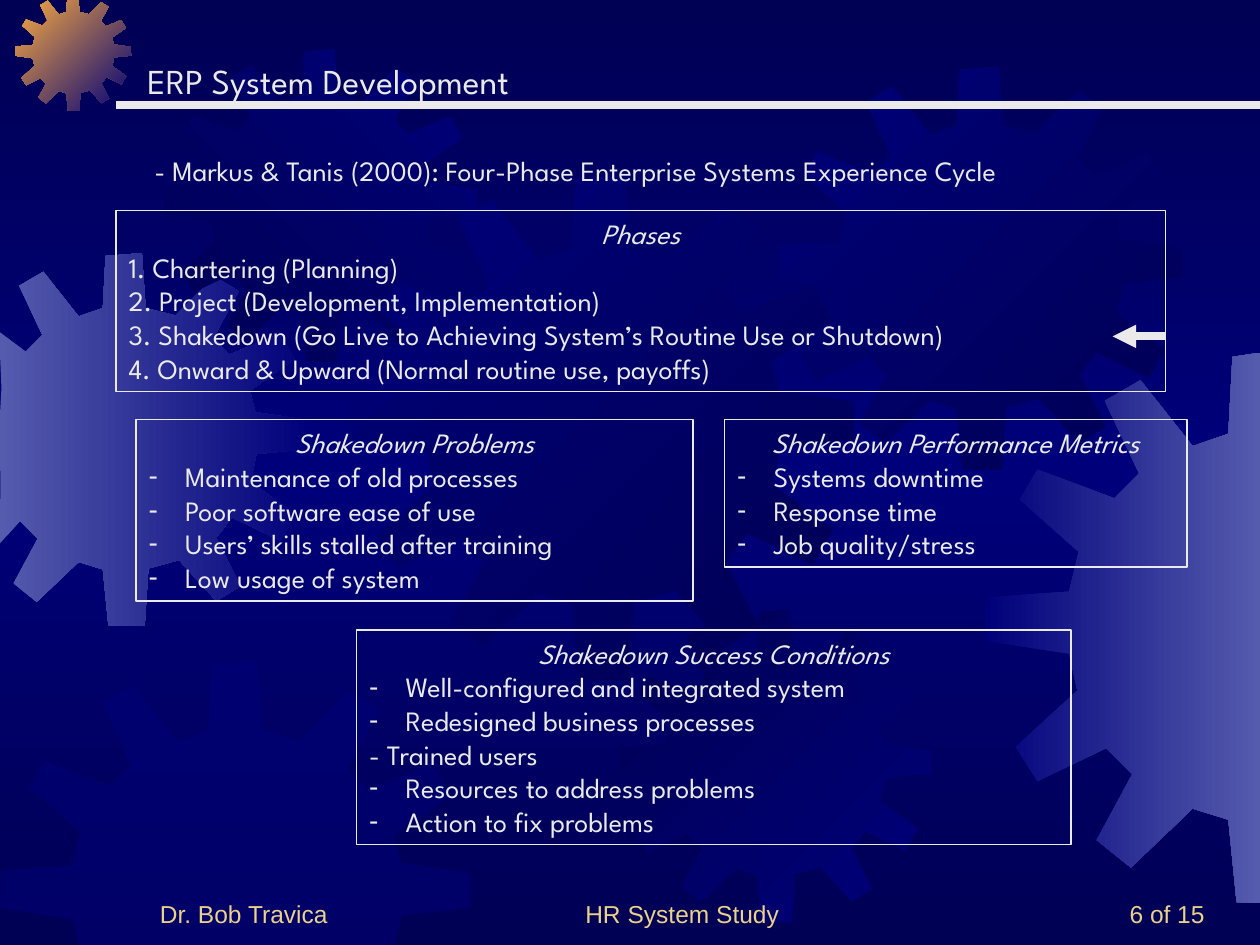
import pptx
import pptx.dml.color
import pptx.enum.shapes
import pptx.enum.text
import pptx.oxml
import pptx.oxml.ns
import pptx.util
import copy

Inches = pptx.util.Inches
Pt = pptx.util.Pt
Align = pptx.enum.text.PP_ALIGN
Anchor = pptx.enum.text.MSO_ANCHOR
qn = pptx.oxml.ns.qn

WIDTH, HEIGHT = 10, 7.5
COLORS = {"dark": "000054", "blue": "00007A", "haze": "555BAD",
          "gold": "FCAB40", "light": "EAEAEA", "sand": "EBD189"}
GEAR_SPAN = 4.01
GEAR = [
    (2.55, 0.67), (2.23, 0.59), (2.19, 0), (1.8, 0.03), (1.77, 0.59), (1.51, 0.68),
    (1.13, 0.2), (0.87, 0.35), (1.12, 0.88), (0.94, 1.06), (0.38, 0.85), (0.25, 1.07),
    (0.68, 1.45), (0.61, 1.74), (0.01, 1.78), (0, 2.1), (0.61, 2.19), (0.67, 2.46),
    (0.22, 2.87), (0.38, 3.12), (0.88, 2.88), (1.07, 3.07), (0.81, 3.55), (1.06, 3.75),
    (1.51, 3.32), (1.77, 3.4), (1.83, 4), (2.22, 4.01), (2.26, 3.39), (2.59, 3.3),
    (2.99, 3.74), (3.25, 3.58), (2.99, 3.06), (3.16, 2.84), (3.68, 3.09), (3.84, 2.81),
    (3.36, 2.46), (3.42, 2.16), (4.01, 2.1), (4, 1.8), (3.41, 1.71), (3.35, 1.48),
    (3.83, 1.14), (3.67, 0.87), (3.13, 1.09), (2.96, 0.91), (3.23, 0.41), (2.97, 0.25),
]
GEARS = [
    (-0.49, 2.01, 2.96, "haze", "blue", 0),
    (0.12, -0.04, 0.92, "gold", "blue", 45),
    (1.3, 0.39, 2.48, "dark", "blue", 315),
    (2.77, 1.39, 4.01, "blue", "dark", 45),
    (0, 5.25, 3.74, "blue", None, 0),
    (4.91, 4.84, 2.48, "dark", "blue", 45),
    (6.18, 0.53, 3.2, "blue", "dark", 45),
    (7.82, 2.8, 4.37, "blue", "haze", 0),
]
BOXES = [
    (0.92, 1.67, 8.33, 1.44, "Phases", [
        "1. Chartering (Planning)",
        "2. Project (Development, Implementation)",
        "3. Shakedown (Go Live to Achieving System’s Routine Use or Shutdown)",
        "4. Onward & Upward (Normal routine use, payoffs)"], ()),
    (1.08, 3.33, 4.42, 1.44, "Shakedown Problems", [
        "Maintenance of old processes",
        "Poor software ease of use",
        "Users’ skills stalled after training",
        "Low usage of system"], (0, 1, 2, 3)),
    (5.75, 3.33, 3.67, 1.17, "Shakedown Performance Metrics", [
        "Systems downtime",
        "Response time",
        "Job quality/stress"], (0, 1, 2)),
    (2.83, 5, 5.67, 1.7, "Shakedown Success Conditions", [
        "Well-configured and integrated system",
        "Redesigned business processes",
        "- Trained users",
        "Resources to address problems",
        "Action to fix problems"], (0, 1, 3, 4)),
]


def color(name):
    return pptx.dml.color.RGBColor.from_string(COLORS[name])


class Deck:
    font = "League Spartan"
    size = 16

    def __init__(self):
        self.show = pptx.Presentation()
        self.show.slide_width = Inches(WIDTH)
        self.show.slide_height = Inches(HEIGHT)
        self.slide = self.show.slides.add_slide(self.show.slide_layouts[4])
        self.shapes = self.slide.shapes

    def blend(self, fill, first, last, angle):
        fill.gradient()
        fill.gradient_angle = (360 - angle) % 360
        for stop, name, place in zip(fill.gradient_stops, (first, last), (0, 1)):
            stop.color.rgb = color(name)
            stop.position = place

    def backdrop(self):
        self.blend(self.slide.background.fill, "dark", "blue", 90)
        stops = self.slide.element.find(".//" + qn("a:gsLst"))
        stops[1].set("pos", "50000")
        end = copy.deepcopy(stops[0])
        end.set("pos", "100000")
        stops.append(end)

    def gear(self, left, top, span, first, last, angle):
        scale = span / GEAR_SPAN
        points = [(Inches(min(max(left + x * scale, 0), WIDTH)),
                   Inches(min(max(top + y * scale, 0), HEIGHT))) for x, y in GEAR]
        pen = self.shapes.build_freeform(*points[0])
        pen.add_line_segments(points[1:], close=True)
        shape = pen.convert_to_shape()
        shape.shadow.inherit = False
        shape.line.fill.background()
        if last:
            self.blend(shape.fill, first, last, angle)
        else:
            shape.fill.solid()
            shape.fill.fore_color.rgb = color(first)
            tint = shape.element.find(".//" + qn("a:srgbClr"))
            tint.append(pptx.oxml.parse_xml(
                f'<a:alpha {pptx.oxml.ns.nsdecls("a")} val="50000"/>'))

    def line(self, start, end, arrow=False):
        rule = self.shapes.add_connector(
            pptx.enum.shapes.MSO_CONNECTOR.STRAIGHT, *map(Inches, start + end))
        rule.line.color.rgb = color("light")
        rule.line.width = Pt(4.5)
        if arrow:
            rule.element.spPr.get_or_add_ln().append(pptx.oxml.parse_xml(
                f'<a:tailEnd {pptx.oxml.ns.nsdecls("a")} type="triangle"/>'))
        rule.element.spPr.append(pptx.oxml.parse_xml(
            f'<a:effectLst {pptx.oxml.ns.nsdecls("a")}/>'))

    def place(self, shape, left, top, width, height):
        shape.left, shape.top = Inches(left), Inches(top)
        shape.width, shape.height = Inches(width), Inches(height)
        self.shapes.element.append(shape.element)

    def put(self, shape, text, size=None, font=None, tone="light",
            align=Align.LEFT, anchor=Anchor.TOP):
        frame = shape.text_frame
        frame.text = text
        frame.word_wrap = True
        frame.auto_size = pptx.enum.text.MSO_AUTO_SIZE.NONE
        frame.vertical_anchor = anchor
        for para in frame.paragraphs:
            para.alignment = align
            para.space_before = Pt(0)
            for run in para.runs:
                run.font.name = font or self.font
                run.font.size = Pt(size or self.size)
                run.font.bold = False
                run.font.color.rgb = color(tone)
        return frame.paragraphs

    def bullet(self, para, mark):
        props = para._p.get_or_add_pPr()
        indent = Inches(0.29) if mark else 0
        props.set("marL", str(indent))
        props.set("indent", str(-indent))
        space = pptx.oxml.ns.nsdecls("a")
        if mark:
            props.append(pptx.oxml.parse_xml(
                f'<a:buClr {space}><a:srgbClr val="{COLORS["light"]}"/></a:buClr>'))
            props.append(pptx.oxml.parse_xml(f'<a:buChar {space} char="-"/>'))
        else:
            props.append(pptx.oxml.parse_xml(f'<a:buNone {space}/>'))

    def title(self, text, *spot):
        self.place(self.shapes.title, *spot)
        self.put(self.shapes.title, text, size=20)

    def box(self, index, left, top, width, height, head, items, marked):
        shape = self.slide.placeholders[index]
        self.place(shape, left, top, width, height)
        shape.line.color.rgb = color("light")
        shape.line.width = Pt(0.75)
        first, *rest = self.put(shape, "\n".join([head] + items))
        first.alignment = Align.CENTER
        first.runs[0].font.italic = True
        self.bullet(first, False)
        for number, para in enumerate(rest):
            self.bullet(para, number in marked)

    def label(self, text, left, top, width, height, **style):
        shape = self.shapes.add_textbox(*map(Inches, (left, top, width, height)))
        self.put(shape, text, **style)


def main():
    deck = Deck()
    deck.backdrop()
    for gear in GEARS:
        deck.gear(*gear)
    deck.line((0.92, 0.83), (10, 0.83))
    for text, left, width, align in [
            ("Dr. Bob Travica", 1.17, 2.08, Align.LEFT),
            ("HR System Study", 3.83, 3.17, Align.CENTER),
            ("6 of 15", 7.58, 2.08, Align.RIGHT)]:
        deck.label(text, left, 6.92, width, 0.5, size=14, font="Arial",
                   tone="sand", align=align, anchor=Anchor.BOTTOM)
    for index, box in enumerate(BOXES, 1):
        deck.box(index, *box)
    deck.line((9.25, 2.67), (8.83, 2.67), arrow=True)
    deck.title("ERP System Development", 1.07, 0.42, 3.54, 0.44)
    deck.label("- Markus & Tanis (2000): Four-Phase Enterprise Systems Experience Cycle",
               1.13, 1.17, 7.83, 0.37)
    deck.show.save("out.pptx")


if __name__ == "__main__":
    main()
